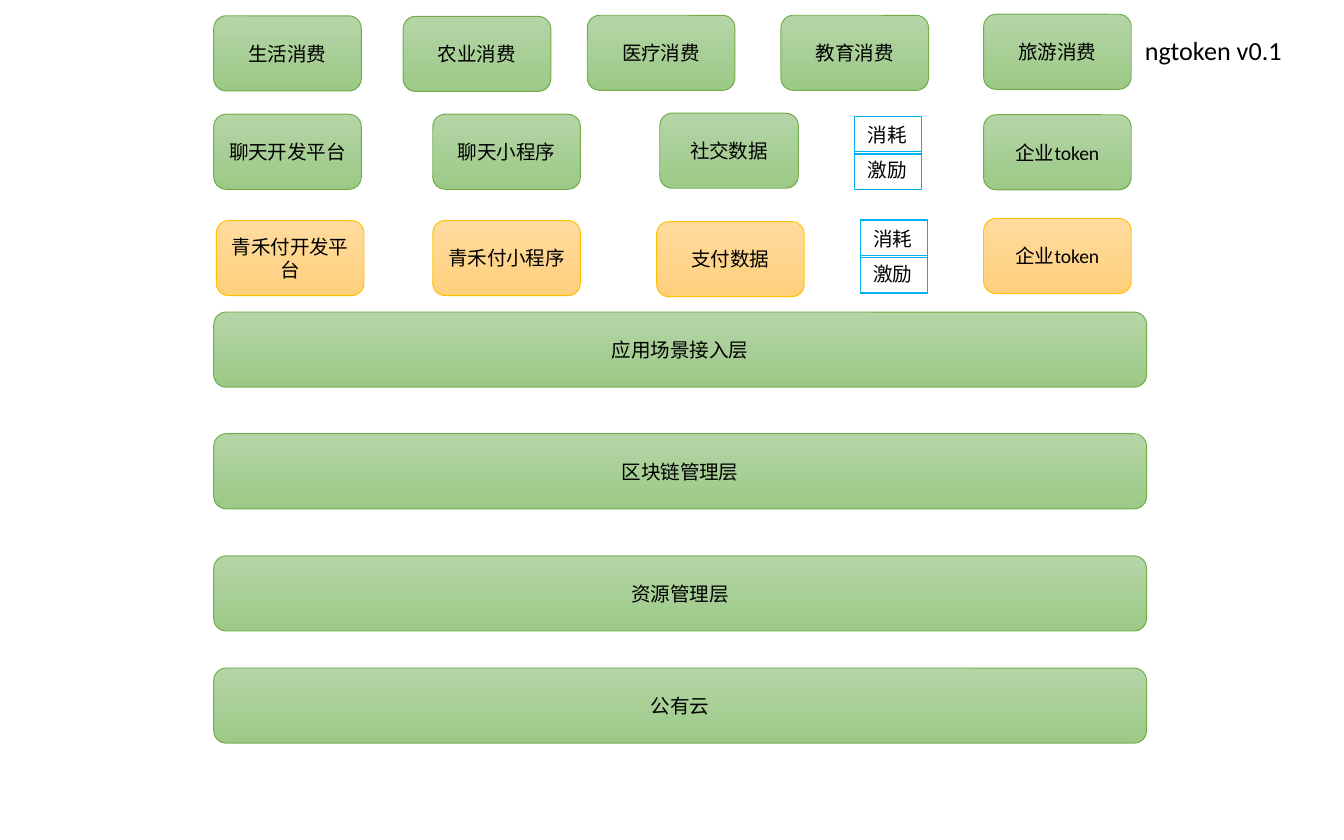
from pptx import Presentation
from pptx.dml.color import RGBColor
from pptx.enum.shapes import MSO_SHAPE
from pptx.enum.text import MSO_ANCHOR, MSO_AUTO_SIZE, PP_ALIGN
from pptx.util import Cm, Pt

BLACK = RGBColor(0x00, 0x00, 0x00)
BLUE = RGBColor(0x00, 0xB0, 0xF0)
GREEN = (RGBColor(0xB5, 0xD5, 0xA7), RGBColor(0x9C, 0xC9, 0x87), RGBColor(0x70, 0xAD, 0x47))
GOLD = (RGBColor(0xFF, 0xDB, 0x9E), RGBColor(0xFF, 0xD0, 0x7C), RGBColor(0xFF, 0xC0, 0x00))
LEFT, RIGHT, WIDTH, HEIGHT = 4.04, 18.59, 2.79, 1.42

deck = Presentation()
deck.slide_width, deck.slide_height = Cm(25.4), Cm(15.88)
slide = deck.slides.add_slide(deck.slide_layouts[6])


def write(frame, text, size=10.5):
    para = frame.paragraphs[0]
    para.text = text
    para.font.name = "Calibri"
    para.font.size = Pt(size)
    para.font.color.rgb = BLACK
    return para


def add_block(text, left, top, width=WIDTH, tone=GREEN):
    block = slide.shapes.add_shape(
        MSO_SHAPE.ROUNDED_RECTANGLE, Cm(left), Cm(top), Cm(width), Cm(HEIGHT))
    block.shadow.inherit = False
    block.fill.gradient()
    block.fill.gradient_angle = 270
    for stop, color in zip(block.fill.gradient_stops, tone):
        stop.color.rgb = color
    block.line.color.rgb = tone[2]
    block.line.width = Pt(0.5)
    frame = block.text_frame
    frame.word_wrap = True
    frame.vertical_anchor = MSO_ANCHOR.MIDDLE
    frame.margin_left = frame.margin_right = Cm(0.18)
    frame.margin_top = frame.margin_bottom = Cm(0.1)
    write(frame, text).alignment = PP_ALIGN.CENTER


scenes = [("生活消费", LEFT, 0.3), ("农业消费", 7.62, 0.31), ("医疗消费", 11.1, 0.29),
          ("教育消费", 14.76, 0.29), ("旅游消费", RIGHT, 0.27)]
for text, left, top in scenes:
    add_block(text, left, top)

chat = [("聊天开发平台", LEFT, 2.16, WIDTH), ("聊天小程序", 8.18, 2.16, WIDTH),
        ("社交数据", 12.47, 2.14, 2.62), ("企业token", RIGHT, 2.17, WIDTH)]
for text, left, top, width in chat:
    add_block(text, left, top, width)

wallet = [("青禾付开发平台", 4.09, 4.17), ("青禾付小程序", 8.18, 4.17),
          ("支付数据", 12.41, 4.19), ("企业token", RIGHT, 4.13)]
for text, left, top in wallet:
    add_block(text, left, top, tone=GOLD)

layers = [("应用场景接入层", 5.9), ("区块链管理层", 8.2), ("资源管理层", 10.51), ("公有云", 12.63)]
for text, top in layers:
    add_block(text, LEFT, top, 17.63)

for left, top in [(16.15, 2.2), (16.26, 4.16)]:
    for row, text in enumerate(["消耗", "激励"]):
        label = slide.shapes.add_textbox(Cm(left), Cm(top + row * 0.67), Cm(1.27), Cm(0.71))
        label.line.color.rgb = BLUE
        label.line.width = Pt(0.75)
        label.text_frame.word_wrap = False
        label.text_frame.auto_size = MSO_AUTO_SIZE.SHAPE_TO_FIT_TEXT
        write(label.text_frame, text)

note = slide.shapes.add_textbox(Cm(21.39), Cm(0.53), Cm(3.25), Cm(0.86))
note.text_frame.word_wrap = True
note.text_frame.auto_size = MSO_AUTO_SIZE.SHAPE_TO_FIT_TEXT
write(note.text_frame, "ngtoken v0.1", 14)

deck.save("out.pptx")
